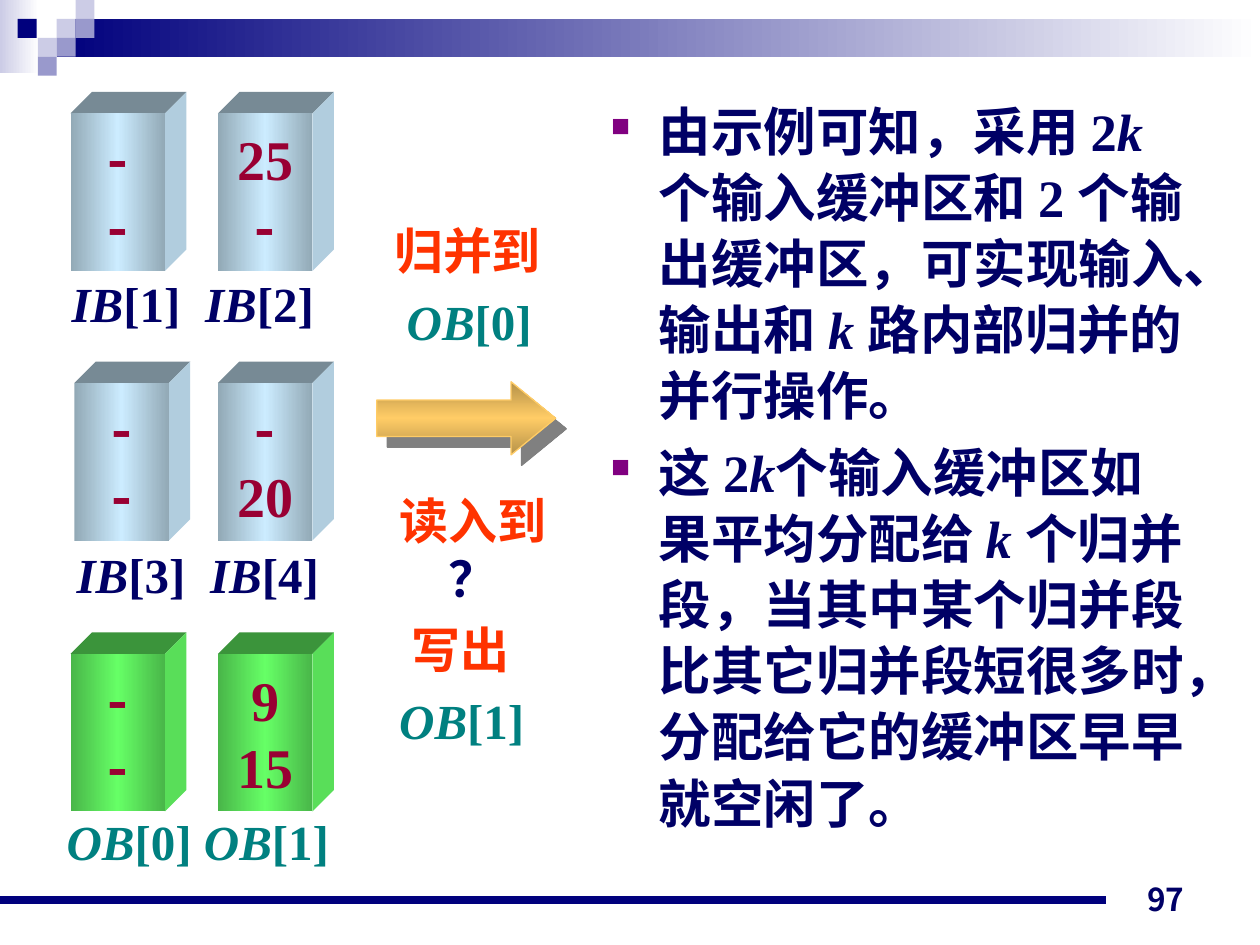
from dataclasses import dataclass

from lxml.etree import SubElement
from pptx import Presentation
from pptx.dml.color import RGBColor
from pptx.enum.shapes import MSO_CONNECTOR, MSO_SHAPE
from pptx.enum.text import MSO_ANCHOR, PP_ALIGN
from pptx.oxml.ns import qn
from pptx.util import Inches, Pt


@dataclass(frozen=True)
class Theme:
    navy: str = "00007D"
    lilac: str = "CCCCE6"
    violet: str = "9999CC"
    white: str = "FFFFFF"
    ink: str = "000066"
    teal: str = "008080"
    red: str = "FF3300"
    value: str = "990033"
    bullet: str = "800080"
    shadow: str = "808080"
    gold: tuple = ("B69249", "FFCC66", "B69249")
    # Buffer shades: front edge, front middle, top face, side face
    blue: tuple = ("92A9B6", "CCECFF", "778A95", "B1CDDE")
    green: tuple = ("49B649", "66FF66", "3B943B", "59DE59")
    latin: str = "Times New Roman"
    asian: str = "Noto Sans CJK SC"
    number_font: str = "Noto Sans CJK JP"
    number_size: int = 18
    label_size: int = 28
    body_size: int = 30
    value_size: int = 32


theme = Theme()


def paint(shape, colors, angle=0):
    """Fill with one colour or an even gradient, without outline or shadow."""
    shape.shadow.inherit = False
    shape.line.fill.background()
    if len(colors) == 1:
        shape.fill.solid()
        shape.fill.fore_color.rgb = RGBColor.from_string(colors[0])
        return
    shape.fill.gradient()
    shape.fill.gradient_angle = angle
    stops = shape._element.spPr.find(qn("a:gradFill")).find(qn("a:gsLst"))
    for stop in list(stops):
        stops.remove(stop)
    for index, color in enumerate(colors):
        position = str(100000 * index // (len(colors) - 1))
        stop = SubElement(stops, qn("a:gs"), pos=position)
        SubElement(stop, qn("a:srgbClr"), val=color)


def write(para, spans, size, font=theme.latin):
    """Add bold spans, each given as (text, colour, italic)."""
    for text, color, italic in spans:
        span = para.add_run()
        span.text = text
        span.font.size = Pt(size)
        span.font.bold = True
        span.font.italic = italic
        span.font.name = font
        span.font.color.rgb = RGBColor.from_string(color)
        SubElement(span._r.get_or_add_rPr(), qn("a:ea"), typeface=theme.asian)


deck = Presentation()
deck.slide_width, deck.slide_height = Inches(10), Inches(7.5)
page = deck.slides.add_slide(deck.slide_layouts[6])

# Header band and mosaic
side = 0.15
for left, top, width, height, colors in [
    (0, 0, 0.31, 0.58, (theme.lilac, theme.white)),
    (0.45, 0.15, 9.55, 0.3, (theme.navy, theme.white)),
    (0.45, 0.15, side, side, (theme.lilac,)),
    (0.6, 0, side, side, (theme.lilac,)),
    (0.6, 0.15, side, side, (theme.violet,)),
    (0.3, 0.3, side, side, (theme.lilac,)),
    (0.14, 0.15, side, side, (theme.navy,)),
    (0.45, 0.3, side, side, (theme.violet,)),
    (0.3, 0.45, side, side, (theme.violet,)),
]:
    tile = page.shapes.add_shape(MSO_SHAPE.RECTANGLE, Inches(left), Inches(top),
                                 Inches(width), Inches(height))
    paint(tile, colors)

# Footer rule and page number
rule = page.shapes.add_connector(MSO_CONNECTOR.STRAIGHT, Inches(0), Inches(7.14),
                                 Inches(8.78), Inches(7.14))
rule.line.color.rgb = RGBColor.from_string(theme.navy)
rule.line.width = Pt(4.5)
SubElement(rule._element.spPr, qn("a:effectLst"))

box = page.shapes.add_textbox(Inches(7.17), Inches(6.83), Inches(2.33), Inches(0.5))
box.text_frame.word_wrap = True
box.text_frame.vertical_anchor = MSO_ANCHOR.BOTTOM
para = box.text_frame.paragraphs[0]
para.alignment = PP_ALIGN.RIGHT
write(para, [("97", theme.ink, False)], theme.number_size, theme.number_font)

# Buffers: front face with two values, then top and side faces
block_width, block_height, depth = 0.75, 1.25, 0.17
for left, top, values, shades in [
    (0.56, 0.9, ("-", "-"), theme.blue),
    (1.73, 0.9, ("25", "-"), theme.blue),
    (0.59, 3.04, ("-", "-"), theme.blue),
    (1.73, 3.04, ("-", "20"), theme.blue),
    (0.56, 5.19, ("-", "-"), theme.green),
    (1.73, 5.19, ("9", "15"), theme.green),
]:
    edge, middle, top_shade, side_shade = shades
    right, bottom = left + block_width, top + block_height
    top_face = [(left, top), (left + depth, top - depth),
                (right + depth, top - depth), (right, top)]
    side_face = [(right, top), (right + depth, top - depth),
                 (right + depth, bottom - depth), (right, bottom)]
    for points, shade in [(top_face, top_shade), (side_face, side_shade)]:
        corners = [(Inches(x), Inches(y)) for x, y in points]
        outline = page.shapes.build_freeform(*corners[0])
        outline.add_line_segments(corners[1:], close=True)
        paint(outline.convert_to_shape(), (shade,))

    front = page.shapes.add_shape(MSO_SHAPE.RECTANGLE, Inches(left), Inches(top),
                                  Inches(block_width), Inches(block_height))
    paint(front, (edge, middle, edge))
    frame = front.text_frame
    frame.word_wrap = False
    frame.vertical_anchor = MSO_ANCHOR.MIDDLE
    for index, value in enumerate(values):
        para = frame.add_paragraph() if index else frame.paragraphs[0]
        para.alignment = PP_ALIGN.CENTER
        font = theme.asian if value == "-" else theme.latin
        write(para, [(value, theme.value, False)], theme.value_size, font)

# Buffer names, the second of each pair on a tab stop
for left, top, width, tab, name, numbers, color in [
    (0.47, 2.12, 2.12, 1.06, "IB", (1, 2), theme.ink),
    (0.51, 4.27, 2.12, 1.06, "IB", (3, 4), theme.ink),
    (0.43, 6.39, 2.29, 1.09, "OB", (0, 1), theme.teal),
]:
    box = page.shapes.add_textbox(Inches(left), Inches(top), Inches(width), Inches(0.57))
    box.text_frame.word_wrap = False
    para = box.text_frame.paragraphs[0]
    tabs = SubElement(para._p.get_or_add_pPr(), qn("a:tabLst"))
    SubElement(tabs, qn("a:tab"), pos=str(Inches(tab)), algn="l")
    first, second = numbers
    write(para, [(name, color, True), (f"[{first}]\t", color, False),
                 (name, color, True), (f"[{second}]", color, False)], theme.label_size)

# Steps above and below the arrow: indent, line spacing, spans
for left, top, height, lines in [
    (3.03, 1.61, 1.22, [
        (0, 1.2, [("归并到", theme.red, False)]),
        (0.1, 1.2, [("OB", theme.teal, True), ("[0]", theme.teal, False)]),
    ]),
    (3.07, 3.84, 2.16, [
        (0, 1, [("读入到", theme.red, False)]),
        (0.39, 1, [("？", theme.ink, False)]),
        (0.1, 1.2, [("写出", theme.red, False)]),
        (0, 1.2, [("OB", theme.teal, True), ("[1]", theme.teal, False)]),
    ]),
]:
    box = page.shapes.add_textbox(Inches(left), Inches(top), Inches(1.37), Inches(height))
    box.text_frame.word_wrap = False
    for index, (indent, spacing, spans) in enumerate(lines):
        para = box.text_frame.add_paragraph() if index else box.text_frame.paragraphs[0]
        para.line_spacing = spacing
        para._p.get_or_add_pPr().set("marL", str(Inches(indent)))
        write(para, spans, theme.label_size)

# Arrow with a hard shadow
arrow = page.shapes.add_shape(MSO_SHAPE.RIGHT_ARROW, Inches(2.99), Inches(3.03),
                              Inches(1.42), Inches(0.58))
arrow.adjustments[0], arrow.adjustments[1] = 0.5, 0.61
paint(arrow, theme.gold, 90)
arrow.line.color.rgb = RGBColor.from_string(theme.gold[1])
arrow.line.width = Pt(0.75)
effects = arrow._element.spPr.find(qn("a:effectLst"))
shadow = SubElement(effects, qn("a:outerShdw"), dist=str(Pt(8.5)), dir="2700000",
                    algn="ctr", rotWithShape="0")
SubElement(shadow, qn("a:srgbClr"), val=theme.shadow)

# Bulleted explanation
box = page.shapes.add_textbox(Inches(4.75), Inches(0.71), Inches(4.82), Inches(6.58))
box.text_frame.word_wrap = True
for index, pieces in enumerate([
    ["由示例可知，采用 2", "k ", "个输入缓冲区和 2 个输出缓冲区，可实现输入、输出和 ",
     "k ", "路内部归并的并行操作。"],
    ["这 2", "k", "个输入缓冲区如果平均分配给 ", "k ",
     "个归并段，当其中某个归并段比其它归并段短很多时，分配给它的缓冲区早早就空闲了。"],
]):
    para = box.text_frame.add_paragraph() if index else box.text_frame.paragraphs[0]
    para.line_spacing = 1.05
    if index:
        para.space_before = Pt(6)
    properties = para._p.get_or_add_pPr()
    properties.set("marL", str(Inches(0.38)))
    properties.set("indent", str(Inches(-0.38)))
    bullet_color = SubElement(properties, qn("a:buClr"))
    SubElement(bullet_color, qn("a:srgbClr"), val=theme.bullet)
    SubElement(properties, qn("a:buSzPct"), val="50000")
    SubElement(properties, qn("a:buChar"), char="■")
    # Every second piece is an italic variable
    write(para, [(text, theme.ink, order % 2 == 1) for order, text in enumerate(pieces)],
          theme.body_size)

deck.save("out.pptx")
